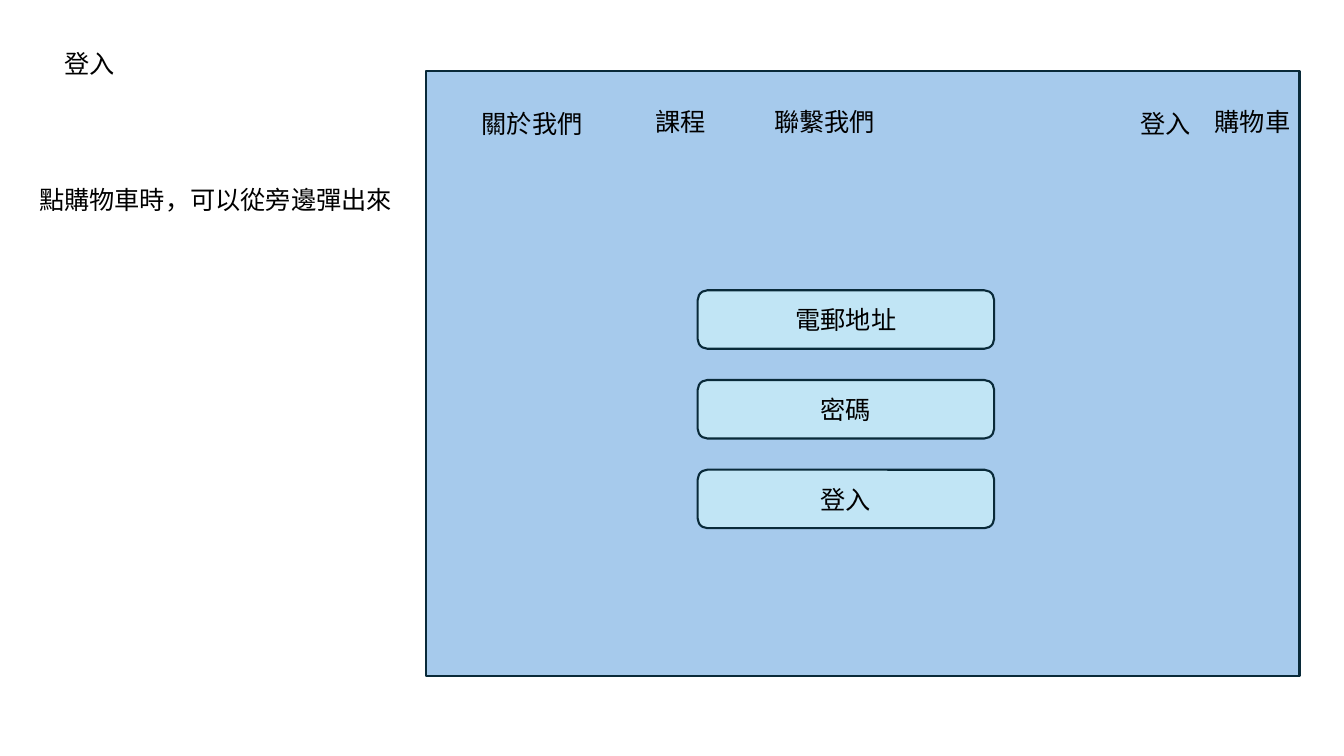
from dataclasses import dataclass

from lxml.etree import SubElement
from pptx import Presentation
from pptx.dml.color import RGBColor
from pptx.enum.shapes import MSO_SHAPE as Shape
from pptx.enum.text import MSO_ANCHOR as Anchor, MSO_AUTO_SIZE as AutoSize, PP_ALIGN as Align
from pptx.oxml.ns import qn
from pptx.util import Inches, Pt

# Labels: text, left, top, width, wraps
NOTES = [
    ("登入", 0.54, 0.43, 1.62, True),
    ("點購物車時，可以從旁邊彈出來", 0.29, 1.78, 3.74, False),
]
MENU = [
    ("關於我們", 4.68, 1.03, 1.27, True),
    ("課程", 6.4, 1.01, 1.45, True),
    ("聯繫我們", 7.58, 1.01, 1.45, True),
    ("登入", 11.21, 1.03, 1.27, True),
    ("購物車", 11.95, 1.01, 1.27, True),
]
FORM = ["電郵地址", "密碼", "登入"]

SLIDE_SIZE = (13.33, 7.5)
PAGE_FRAME = (4.23, 0.7, 8.66, 6.01)
FORM_LEFT, FORM_TOP, FORM_PITCH = 6.92, 2.88, 0.89
FIELD_SIZE = (2.94, 0.58)
LABEL_HEIGHT = 0.4


@dataclass(frozen=True)
class Theme:
    font: str = "Cabin"
    text_size: float = 18
    line_width: float = 1.5
    text: str = "000000"
    outline: str = "092A39"
    page: str = "A6CAEC"
    field: str = "C1E5F5"


THEME = Theme()


def write(frame, text, align=Align.LEFT):
    paragraph = frame.paragraphs[0]
    paragraph.alignment = align
    run = paragraph.add_run()
    run.text = text
    run.font.name = THEME.font
    run.font.size = Pt(THEME.text_size)
    run.font.color.rgb = RGBColor.from_string(THEME.text)
    # Chinese characters take the East Asian typeface
    SubElement(run.font._element, qn("a:ea"), typeface=THEME.font)


def add_label(slide, text, left, top, width, wraps):
    box = slide.shapes.add_textbox(*map(Inches, (left, top, width, LABEL_HEIGHT)))
    frame = box.text_frame
    frame.word_wrap = wraps
    frame.auto_size = AutoSize.SHAPE_TO_FIT_TEXT
    write(frame, text)


def add_panel(slide, kind, bounds, fill):
    shape = slide.shapes.add_shape(kind, *map(Inches, bounds))
    shape.shadow.inherit = False
    shape.fill.solid()
    shape.fill.fore_color.rgb = RGBColor.from_string(fill)
    shape.line.color.rgb = RGBColor.from_string(THEME.outline)
    shape.line.width = Pt(THEME.line_width)
    return shape


def main():
    presentation = Presentation()
    presentation.slide_width, presentation.slide_height = map(Inches, SLIDE_SIZE)
    slide = presentation.slides.add_slide(presentation.slide_layouts[6])

    add_panel(slide, Shape.RECTANGLE, PAGE_FRAME, THEME.page)
    for row, text in enumerate(FORM):
        bounds = (FORM_LEFT, FORM_TOP + row * FORM_PITCH, *FIELD_SIZE)
        field = add_panel(slide, Shape.ROUNDED_RECTANGLE, bounds, THEME.field)
        field.text_frame.vertical_anchor = Anchor.MIDDLE
        write(field.text_frame, text, Align.CENTER)
    for label in NOTES + MENU:
        add_label(slide, *label)

    presentation.save("out.pptx")


if __name__ == "__main__":
    main()
